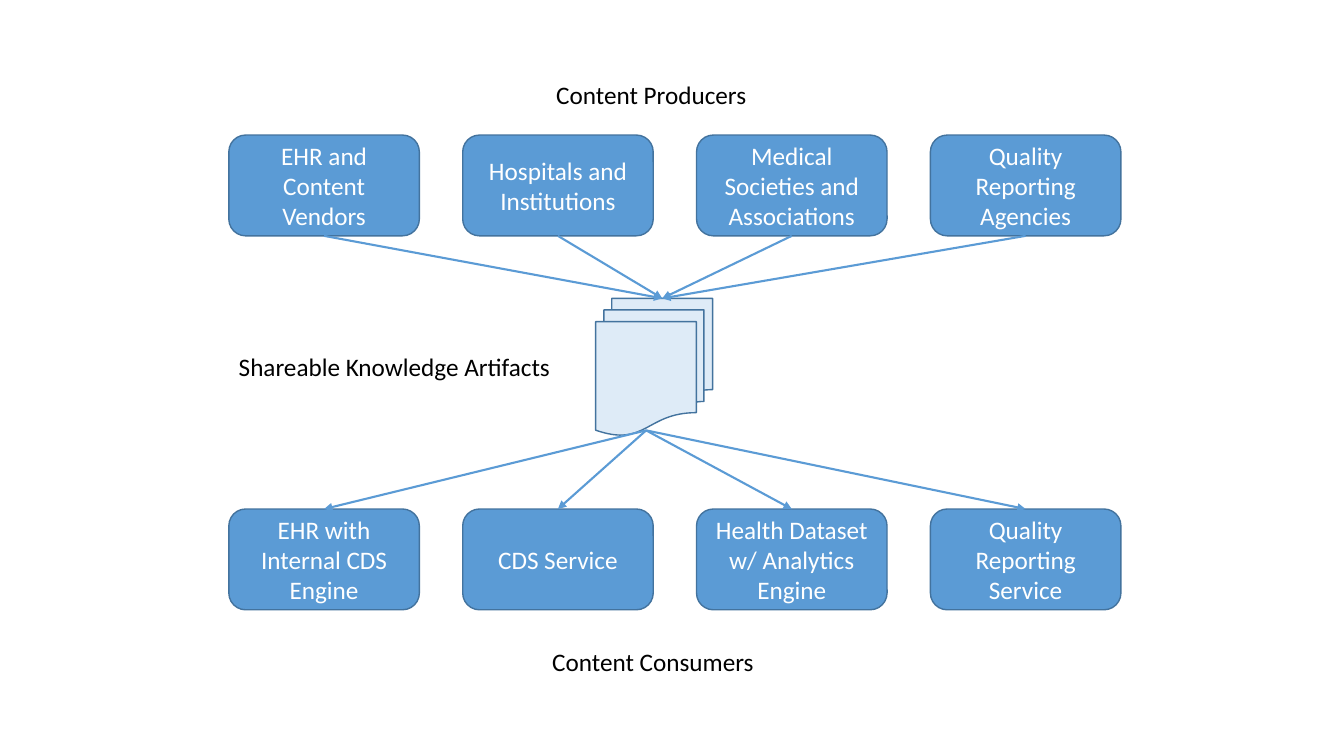
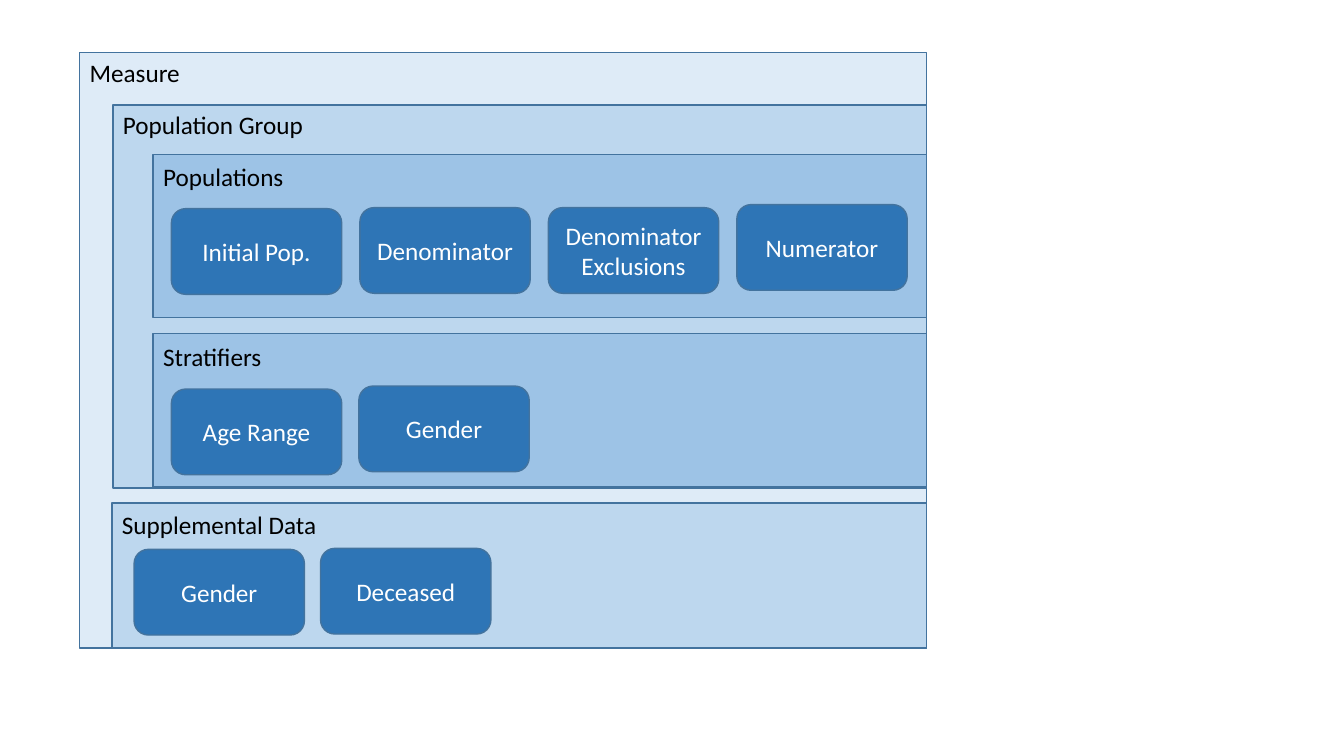
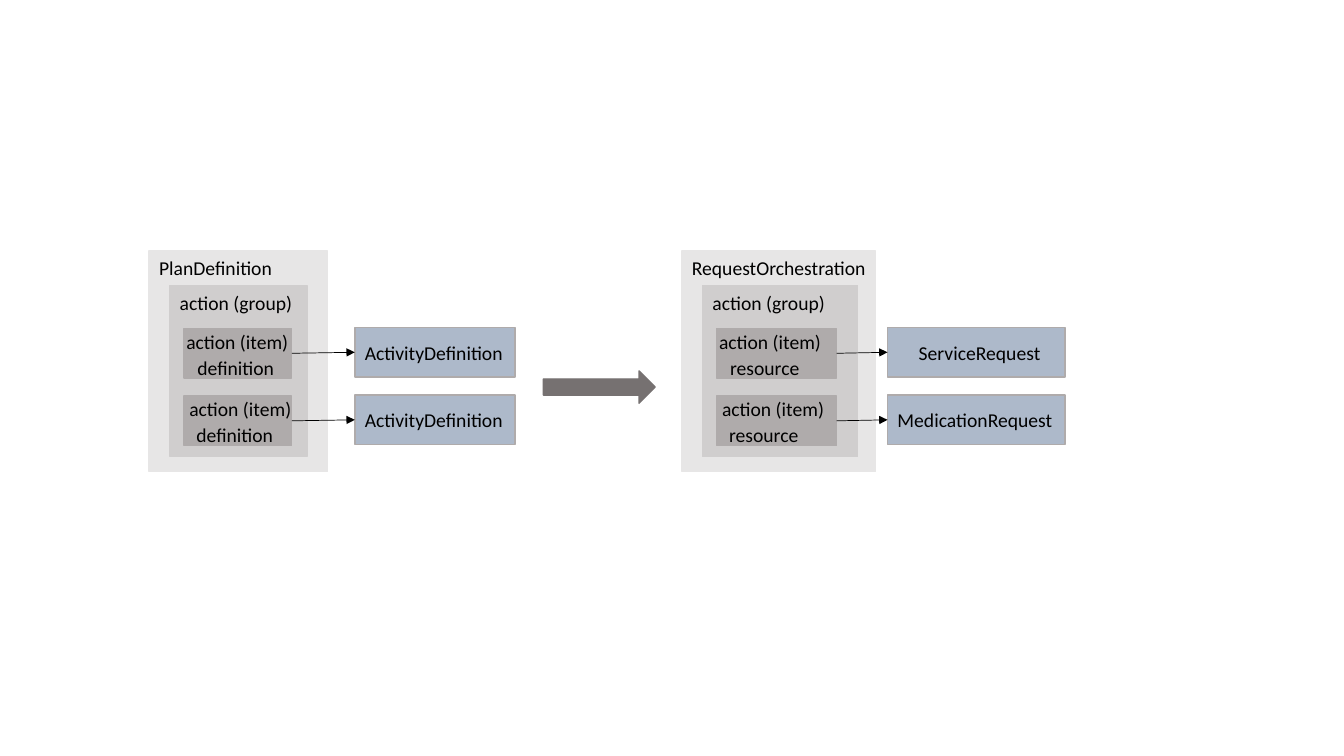
from typing import NamedTuple

from pptx import Presentation
from pptx import util as u
from pptx.dml.color import RGBColor
from pptx.enum import shapes, text
from pptx.oxml.ns import qn
from lxml import etree

# Shared style: every length is counted in square grid cells of 0.1 inch
CELL = u.Inches(0.1)
COLUMNS, ROWS = 133.33, 75
FONT = "Calibri"
COLOURS = {
    "black": "000000", "white": "FFFFFF", "outline": "43739E",
    "blue": "5B9BD5", "deep blue": "2E75B6",
    "pale blue": "DEEBF7", "light blue": "BDD7EE", "mid blue": "9DC3E6",
    "pale grey": "E7E6E6", "light grey": "D0CECE", "grey": "AFABAB",
    "dark grey": "767171", "slate": "ADB9CA",
}
RECTANGLE = shapes.MSO_SHAPE.RECTANGLE
ROUNDED = shapes.MSO_SHAPE.ROUNDED_RECTANGLE
TOP, LEFT, BOTTOM, RIGHT = range(4)


class Area(NamedTuple):
    left: float
    top: float
    width: float
    height: float


class Tile(NamedTuple):
    label: str
    top: float


class Panel(NamedTuple):
    label: str
    fill: str
    left: float
    top: float
    height: float
    label_top: float
    label_width: float
    tile_left: float = 0
    tile_pitch: float = 0
    tiles: tuple[Tile, ...] = ()


class Target(NamedTuple):
    label: str
    inset: float
    label_width: float


class Plan(NamedTuple):
    title: str
    title_width: float
    left: float
    width: float
    group_width: float
    item_width: float
    detail: str
    detail_width: float
    target_width: float
    targets: tuple[Target, ...]


def cells(*lengths: float) -> list[int]:
    return [round(length * CELL) for length in lengths]


def colour(name: str) -> RGBColor:
    return RGBColor.from_string(COLOURS[name])


def add_run(frame, words: str, size: float, ink: str, align) -> None:
    paragraph = frame.paragraphs[0]
    paragraph.alignment = align
    run = paragraph.add_run()
    run.text = words
    run.font.name = FONT
    run.font.size = u.Pt(size)
    run.font.color.rgb = colour(ink)


def add_box(slide, kind, area: Area, fill: str, line: str = "outline", label: str = ""):
    shape = slide.shapes.add_shape(kind, *cells(*area))
    shape.shadow.inherit = False
    shape.fill.solid()
    shape.fill.fore_color.rgb = colour(fill)
    shape.line.color.rgb = colour(line)
    shape.line.width = u.Pt(1)
    if label:
        frame = shape.text_frame
        frame.word_wrap = True
        frame.vertical_anchor = text.MSO_ANCHOR.MIDDLE
        add_run(frame, label, 18, "white", text.PP_ALIGN.CENTER)
    return shape


def add_label(slide, words: str, left: float, top: float, width: float,
              size: float = 18, wrap: bool = False) -> None:
    height = 4 if size == 18 else 3.4
    frame = slide.shapes.add_textbox(*cells(left, top, width, height)).text_frame
    frame.word_wrap = wrap
    frame.auto_size = text.MSO_AUTO_SIZE.SHAPE_TO_FIT_TEXT
    add_run(frame, words, size, "black", text.PP_ALIGN.LEFT)


def add_arrow(slide, ink: str, weight: float, start=(0, 0), end=(0, 0),
              start_join=None, end_join=None) -> None:
    """Draw an arrow; a join is a shape and the number of its side."""
    connector = slide.shapes.add_connector(
        shapes.MSO_CONNECTOR.STRAIGHT, *cells(*start, *end))
    if start_join:
        connector.begin_connect(*start_join)
    if end_join:
        connector.end_connect(*end_join)
    connector.line.color.rgb = colour(ink)
    connector.line.width = u.Pt(weight)
    etree.SubElement(connector.line._get_or_add_ln(), qn("a:tailEnd"), type="triangle")
    etree.SubElement(connector._element.spPr, qn("a:effectLst"))


# Slide 1: producers feed artifacts, artifacts feed consumers
PRODUCERS = ("EHR and Content Vendors", "Hospitals and Institutions",
             "Medical Societies and Associations", "Quality Reporting Agencies")
CONSUMERS = ("EHR with Internal CDS Engine", "CDS Service",
             "Health Dataset w/ Analytics Engine", "Quality Reporting Service")


def add_actors(slide, labels: tuple[str, ...], top: float) -> list:
    left, pitch = 22.7, 23.2
    return [add_box(slide, ROUNDED, Area(left + pitch * column, top, 18.9, 10),
                    "blue", label=label)
            for column, label in enumerate(labels)]


def draw_exchange(slide) -> None:
    producers = add_actors(slide, PRODUCERS, 13.4)
    consumers = add_actors(slide, CONSUMERS, 50.5)
    add_box(slide, shapes.MSO_SHAPE.FLOWCHART_MULTIDOCUMENT,
            Area(59.1, 29.6, 11.6, 13.6), "pale blue")
    for producer in producers:
        add_arrow(slide, "blue", 1.5, end=(65.7, 29.6), start_join=(producer, BOTTOM))
    for consumer in consumers:
        add_arrow(slide, "blue", 1.5, start=(64.1, 42.7), end_join=(consumer, TOP))
    add_label(slide, "Content Producers", 54.2, 7.4, 21.4, wrap=True)
    add_label(slide, "Content Consumers", 53.8, 63.6, 22.2)
    add_label(slide, "Shareable Knowledge Artifacts", 22.7, 34.4, 33.3)


# Slide 2: nested panels that share their right edge
PANEL_RIGHT = 91.9
PANELS = (
    Panel("Measure", "pale blue", 7.9, 5.2, 59.1, 5.2, 47.8),
    Panel("Population Group", "light blue", 11.2, 10.4, 38, 10.4, 38),
    Panel("Populations", "mid blue", 15.2, 15.3, 16.2, 15.5, 30.1, 17, 18.7,
          (Tile("Initial Pop.", 20.7), Tile("Denominator", 20.6),
           Tile("Denominator Exclusions", 20.6), Tile("Numerator", 20.3))),
    Panel("Stratifiers", "mid blue", 15.2, 33.1, 15.2, 33.4, 34, 17, 18.6,
          (Tile("Age Range", 38.6), Tile("Gender", 38.3))),
    Panel("Supplemental Data", "light blue", 11.1, 49.9, 14.4, 50, 34.9, 13.3, 18.5,
          (Tile("Gender", 54.5), Tile("Deceased", 54.4))),
)


def draw_measure(slide) -> None:
    for panel in PANELS:
        add_box(slide, RECTANGLE, Area(panel.left, panel.top,
                                       PANEL_RIGHT - panel.left, panel.height), panel.fill)
        add_label(slide, panel.label, panel.left, panel.label_top,
                  panel.label_width, wrap=True)
        for column, tile in enumerate(panel.tiles):
            left = panel.tile_left + panel.tile_pitch * column
            add_box(slide, ROUNDED, Area(left, tile.top, 16.9, 8.5),
                    "deep blue", label=tile.label)


# Slide 3: a definition turns into a request
PLANS = (
    Plan("PlanDefinition", 13.4, 14.8, 17.7, 13.6, 10.7, "definition", 9.8, 15.9,
         (Target("ActivityDefinition", 0, 15.9), Target("ActivityDefinition", 0, 15.9))),
    Plan("RequestOrchestration", 19.5, 67.65, 19.2, 15.4, 11.9, "resource", 9, 17.6,
         (Target("ServiceRequest", 2.1, 14.2), Target("MedicationRequest", 0, 17.6))),
)
ITEM_PITCH = 6.7


def draw_plan(slide, plan: Plan) -> None:
    group_left = plan.left + 2.05
    target_left = plan.left + 20.4
    add_box(slide, RECTANGLE, Area(plan.left, 24.9, plan.width, 21.9),
            "pale grey", "pale grey")
    add_box(slide, RECTANGLE, Area(group_left, 28.3, plan.group_width, 17),
            "light grey", "light grey")
    add_label(slide, plan.title, plan.left, 24.9, plan.title_width, 14)
    add_label(slide, "action (group)", group_left, 28.4, 13.3, 14)
    for row, target in enumerate(plan.targets):
        down = ITEM_PITCH * row
        item = add_box(slide, RECTANGLE, Area(plan.left + 3.45, 32.6 + down,
                                              plan.item_width, 4.9), "grey", "grey")
        box = add_box(slide, RECTANGLE, Area(target_left, 32.5 + down,
                                             plan.target_width, 4.9), "slate", "grey")
        add_label(slide, "action (item)", plan.left + 2.7 + 0.3 * row,
                  32.2 + down, 12.3, 14)
        add_label(slide, plan.detail, plan.left + 3.8 - 0.1 * row,
                  34.8 + down, plan.detail_width, 14)
        add_label(slide, target.label, target_left + target.inset,
                  33.3 + down, target.label_width, 14)
        add_arrow(slide, "black", 0.5, start_join=(item, RIGHT), end_join=(box, LEFT))


def draw_workflow(slide) -> None:
    for plan in PLANS:
        draw_plan(slide, plan)
    add_box(slide, shapes.MSO_SHAPE.RIGHT_ARROW, Area(53.9, 36.8, 11.1, 3.2),
            "dark grey", "dark grey")


def main() -> None:
    presentation = Presentation()
    presentation.slide_width, presentation.slide_height = cells(COLUMNS, ROWS)
    blank = presentation.slide_layouts[6]
    for draw in (draw_exchange, draw_measure, draw_workflow):
        draw(presentation.slides.add_slide(blank))
    presentation.save("out.pptx")


if __name__ == "__main__":
    main()
